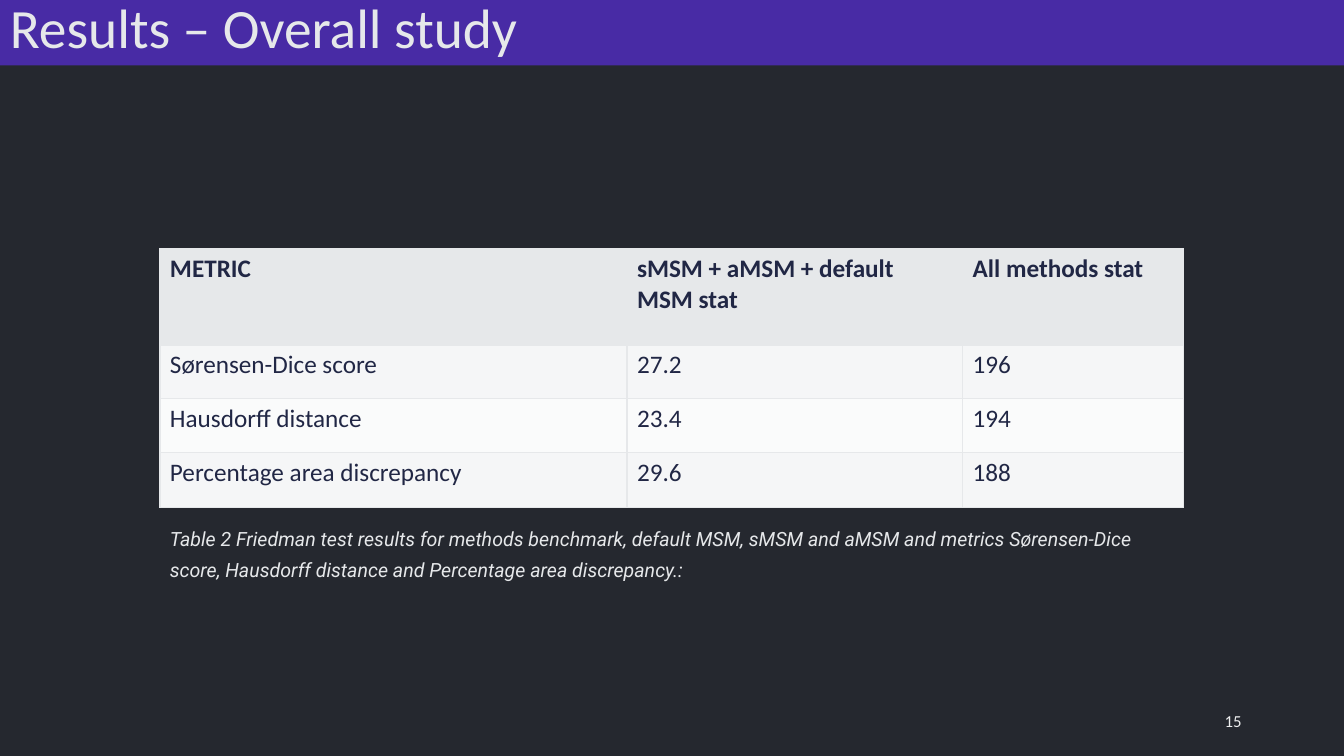
from lxml import etree
from pptx import Presentation
from pptx.dml.color import RGBColor
from pptx.enum.shapes import MSO_SHAPE
from pptx.enum.text import MSO_ANCHOR, PP_ALIGN
from pptx.oxml.ns import qn
from pptx.util import Cm, Pt

RECT = MSO_SHAPE.RECTANGLE
MIDDLE = MSO_ANCHOR.MIDDLE
LEFT, RIGHT = PP_ALIGN.LEFT, PP_ALIGN.RIGHT

COLORS = {
    "back": "25282F", "bar": "482BA5", "pale": "E6E8EA", "ink": "212745",
    "odd": "F5F6F7", "even": "FAFBFB", "page": "EDEEEF",
}
ROWS = [
    ("METRIC", "sMSM + aMSM + default MSM stat", "All methods stat"),
    ("Sørensen-Dice score", "27.2", "196"),
    ("Hausdorff distance", "23.4", "194"),
    ("Percentage area discrepancy", "29.6", "188"),
]
WIDTHS = (11.77, 8.46, 5.57)
HEAD, BODY = 2.4, 1.37
CAPTION = ("Table 2 Friedman test results for methods benchmark, default MSM, "
           "sMSM and aMSM and metrics Sørensen-Dice score, Hausdorff distance "
           "and Percentage area discrepancy.:")


def rgb(name):
    return RGBColor.from_string(COLORS[name])


def paint(shape, name):
    shape.fill.solid()
    shape.fill.fore_color.rgb = rgb(name)


def write(frame, text, size, color, face="Calibri", bold=False, italic=False):
    """Put one styled paragraph in the frame and return it."""
    frame.word_wrap = True
    para = frame.paragraphs[0]
    para.text = text
    font = para.font
    font.name, font.size = face, Pt(size)
    font.bold, font.italic = bold, italic
    font.color.rgb = rgb(color)
    return para


def edge(cell, base):
    """Draw the four borders of a cell; base is the bottom width in points."""
    props = cell._tc.get_or_add_tcPr()
    for side, width in zip("LRTB", (1, 1, 1, base)):
        line = etree.SubElement(props, qn(f"a:ln{side}"), w=str(Pt(width)))
        fill = etree.SubElement(line, qn("a:solidFill"))
        etree.SubElement(fill, qn("a:srgbClr"), val=COLORS["pale"])


def add_title(slide, left, top, width, height):
    bar = slide.shapes.add_shape(RECT, Cm(left), Cm(top), Cm(width), Cm(height))
    bar.shadow.inherit = False
    paint(bar, "bar")
    bar.line.fill.background()
    bar.text_frame.vertical_anchor = MIDDLE
    para = write(bar.text_frame, "Results – Overall study", 39.6, "pale")
    para.alignment = LEFT
    para.line_spacing = 0.8


def add_stats(slide, left, top, width, height):
    table = slide.shapes.add_table(len(ROWS), len(WIDTHS), Cm(left), Cm(top),
                                   Cm(width), Cm(height)).table
    for col, size in zip(table.columns, WIDTHS):
        col.width = Cm(size)
    for r, texts in enumerate(ROWS):
        head = r == 0
        table.rows[r].height = Cm(HEAD if head else BODY)
        for c, text in enumerate(texts):
            cell = table.cell(r, c)
            edge(cell, 3 if head else 1)
            paint(cell, "pale" if head else "odd" if r % 2 else "even")
            write(cell.text_frame, text, 18, "ink", bold=head)


def add_caption(slide, left, top, width, height):
    box = slide.shapes.add_textbox(Cm(left), Cm(top), Cm(width), Cm(height))
    para = write(box.text_frame, CAPTION, 14, "pale", "Roboto", italic=True)
    para.line_spacing = 1.3


def add_page(slide, left, top, width, height):
    box = slide.shapes.add_textbox(Cm(left), Cm(top), Cm(width), Cm(height))
    box.text_frame.vertical_anchor = MIDDLE
    write(box.text_frame, "15", 12, "page").alignment = RIGHT


def main():
    deck = Presentation()
    deck.slide_width, deck.slide_height = Cm(33.87), Cm(19.05)
    slide = deck.slides.add_slide(deck.slide_layouts[6])
    paint(slide.background, "back")
    left, top, width = 4.03, 6.27, sum(WIDTHS)
    height = HEAD + BODY * (len(ROWS) - 1)
    add_title(slide, 0, 0, 33.87, 1.65)
    add_stats(slide, left, top, width, height)
    add_caption(slide, left, top + height + 0.2, width, 1.63)
    add_page(slide, 23.92, 17.66, 7.62, 1.01)
    deck.save("out.pptx")


if __name__ == "__main__":
    main()
